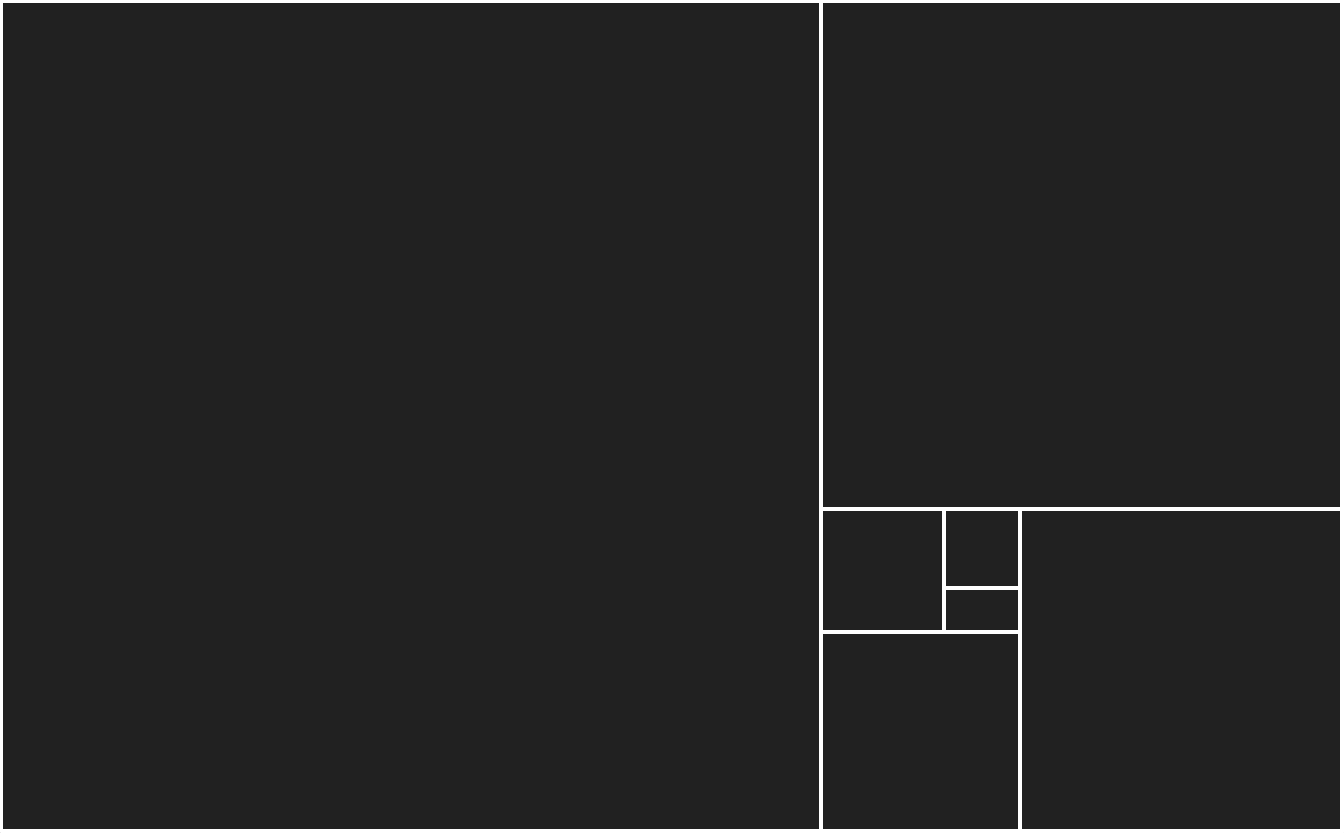
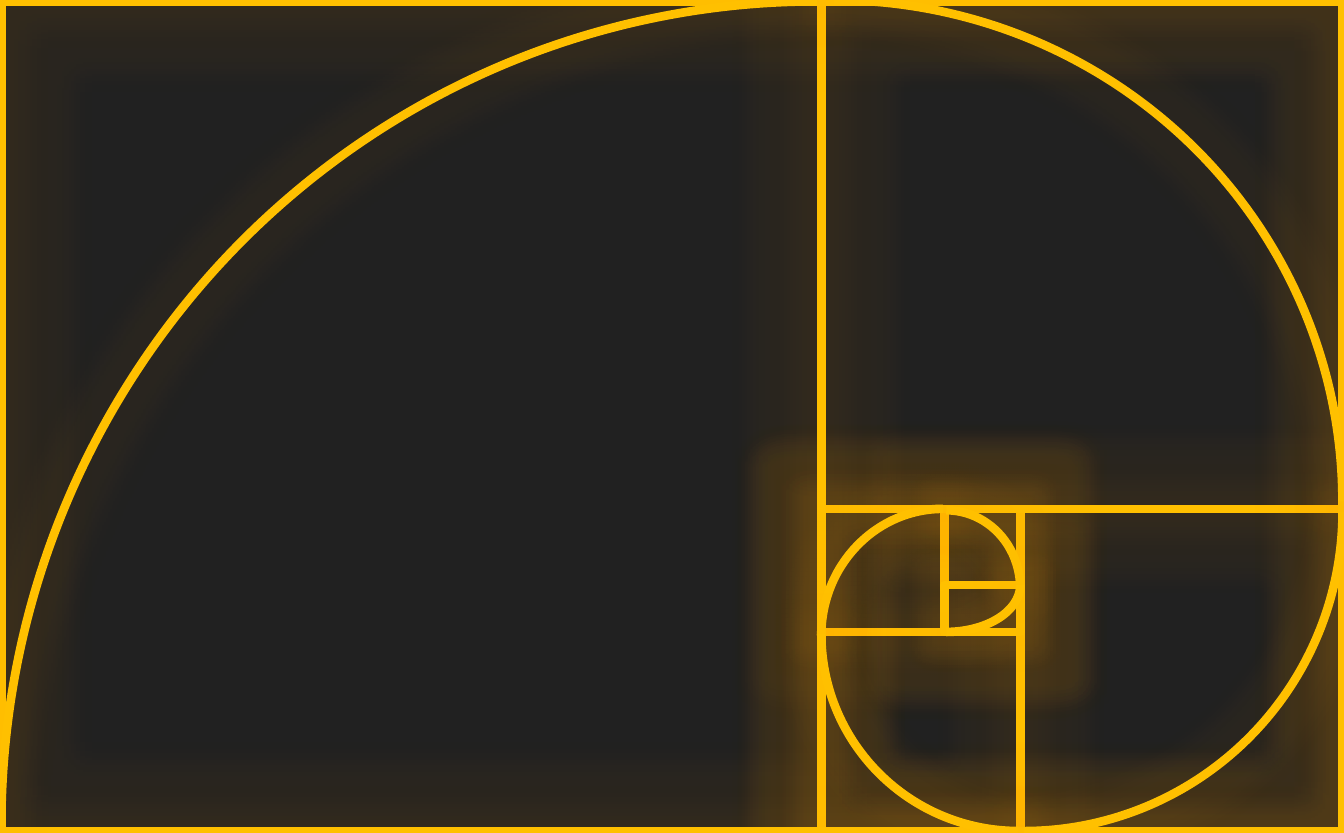
from dataclasses import dataclass

from lxml import etree
from pptx import Presentation
from pptx.dml.color import RGBColor
from pptx.enum import shapes
from pptx.oxml import ns
from pptx.util import Cm, Inches, Pt


@dataclass(frozen=True)
class Theme:
    background: str = "212121"
    white: str = "FFFFFF"
    gold: str = "FFC000"
    glow: str = "FFA000"
    thin: float = 2.25
    thick: float = 4.5
    glow_radius: float = 24
    glow_percent: int = 4


THEME = Theme()
WIDTH, HEIGHT = Cm(24.69), Cm(15.3)

# Edges of the golden rectangles
LEFT, SPLIT, CELL_LEFT, CELL_RIGHT, RIGHT = 0.01, 5.94, 6.83, 7.38, 9.71
TOP, MIDDLE, CELL_BOTTOM, BOTTOM = 0.01, 3.68, 4.57, 6.01

# Left, top, right, bottom
NESTED = [
    (SPLIT, MIDDLE, CELL_RIGHT, CELL_BOTTOM),
    (SPLIT, MIDDLE, CELL_RIGHT, BOTTOM),
    (SPLIT, MIDDLE, RIGHT, BOTTOM),
    (SPLIT, TOP, RIGHT, BOTTOM),
    (LEFT, TOP, RIGHT, BOTTOM),
]
CELL = (CELL_LEFT, MIDDLE, CELL_RIGHT, CELL_BOTTOM)


def seed(top):
    """Return the smallest rectangle, at the foot of the cell."""
    return CELL_LEFT, top, CELL_RIGHT, CELL_BOTTOM


GRID = NESTED + [CELL, seed(4.25)]
GLOWING_GRID = [CELL] + NESTED + [seed(4.23)]

# Left, top, width, height of the whole ellipse, then the flips of its quarter arc
SPIRAL = [
    (SPLIT, MIDDLE, 1.76, 1.83, "h"),
    (6.31, 3.69, 1.07, 1.13, ""),
    (6.31, 3.89, 1.07, 0.68, "v"),
    (SPLIT, 3.16, 2.85, 2.85, "hv"),
    (5.1, 1.39, 4.61, 4.62, "v"),
    (2.35, 0, 7.36, 7.25, ""),
    (LEFT, TOP, 11.8, 11.92, "h"),
]


def add_slide(presentation):
    slide = presentation.slides.add_slide(presentation.slide_layouts[6])
    fill = slide.background.fill
    fill.solid()
    fill.fore_color.rgb = RGBColor.from_string(THEME.background)
    return slide


def add_outline(slide, kind, box, color, weight):
    shape = slide.shapes.add_shape(kind, *map(Inches, box))
    shape.shadow.inherit = False
    shape.fill.background()
    shape.line.color.rgb = RGBColor.from_string(color)
    shape.line.width = Pt(weight)
    return shape


def add_rectangle(slide, edges, color, weight):
    left, top, right, bottom = edges
    box = (left, top, right - left, bottom - top)
    return add_outline(slide, shapes.MSO_SHAPE.RECTANGLE, box, color, weight)


def add_arc(slide, box, flips):
    shape = add_outline(slide, shapes.MSO_SHAPE.ARC, box, THEME.gold, THEME.thick)
    transform = shape.element.spPr.find(ns.qn("a:xfrm"))
    for axis in flips:
        transform.set("flip" + axis.upper(), "1")
    return shape


def add_glow(shape):
    effects = shape.element.spPr.find(ns.qn("a:effectLst"))
    glow = etree.SubElement(effects, ns.qn("a:glow"), rad=str(Pt(THEME.glow_radius)))
    color = etree.SubElement(glow, ns.qn("a:srgbClr"), val=THEME.glow)
    etree.SubElement(color, ns.qn("a:alpha"), val=str(THEME.glow_percent * 1000))


def build_grid(presentation):
    slide = add_slide(presentation)
    for edges in GRID:
        add_rectangle(slide, edges, THEME.white, THEME.thin)


def build_spiral(presentation):
    slide = add_slide(presentation)
    for edges in GLOWING_GRID:
        add_glow(add_rectangle(slide, edges, THEME.gold, THEME.thick))
    for *box, flips in SPIRAL:
        add_glow(add_arc(slide, box, flips))


def main():
    presentation = Presentation()
    presentation.slide_width = WIDTH
    presentation.slide_height = HEIGHT
    build_grid(presentation)
    build_spiral(presentation)
    presentation.save("out.pptx")


if __name__ == "__main__":
    main()
